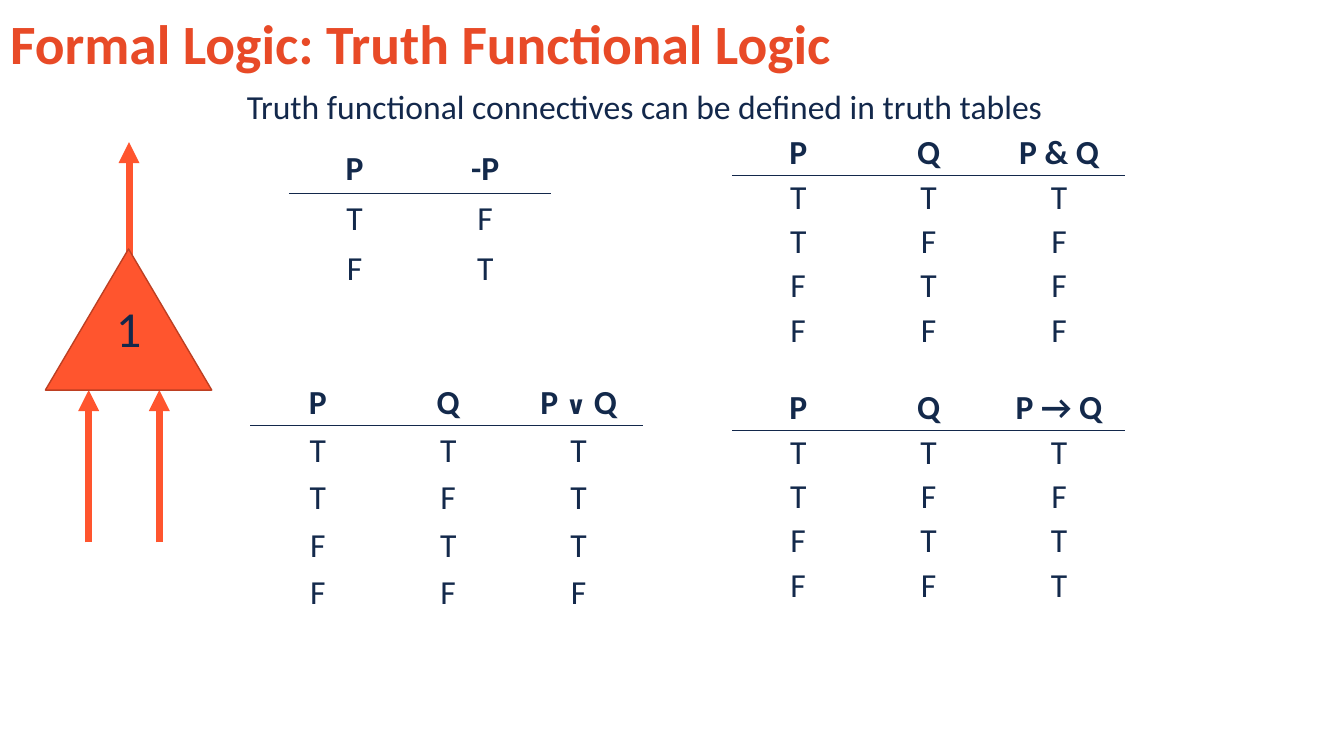
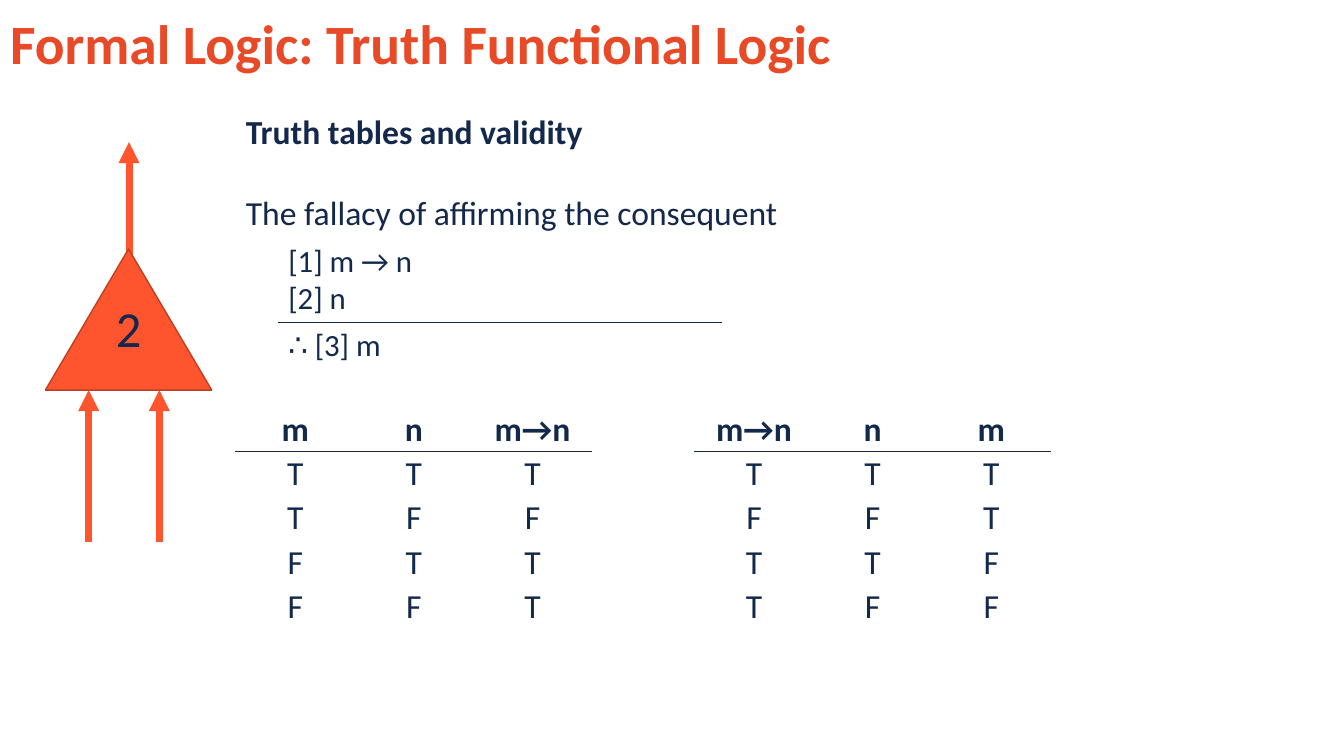
from lxml import etree
from pptx import Presentation
from pptx.dml.color import RGBColor
from pptx.enum.shapes import MSO_CONNECTOR, MSO_SHAPE
from pptx.enum.text import MSO_ANCHOR, MSO_AUTO_SIZE, PP_ALIGN
from pptx.oxml.ns import qn
from pptx.util import Pt

PX = 9144
TITLE_ONLY = 5
STRAIGHT = MSO_CONNECTOR.STRAIGHT
TRIANGLE = MSO_SHAPE.ISOSCELES_TRIANGLE
MIDDLE = MSO_ANCHOR.MIDDLE
NO_AUTOFIT = MSO_AUTO_SIZE.NONE
LEFT, CENTER = PP_ALIGN.LEFT, PP_ALIGN.CENTER

FONT = "Calibri"
COLORS = {
    "title": "E84A27",
    "text": "13284B",
    "cell": "13294B",
    "orange": "FF552E",
    "outline": "BD3F22",
    "white": "FFFFFF",
}
TITLE = "Formal Logic: Truth Functional Logic"
TIGHT = (10, 2, 10, 2)
SNUG = (5, 5, 2, 2)
ROOMY = (10, 5, 10, 5)


def px(*lengths):
    return [length * PX for length in lengths]


def color(name):
    return RGBColor.from_string(COLORS[name])


class Lecture:
    def __init__(self):
        self.deck = Presentation()
        self.deck.slide_width, self.deck.slide_height = px(1333, 750)
        self.slide = None

    def format(self, para, size, shade, bold=False, align=LEFT):
        para.alignment = align
        for span in para.runs:
            span.font.name = FONT
            span.font.size = Pt(size)
            span.font.bold = bold
            span.font.color.rgb = color(shade)

    def page(self, title):
        layout = self.deck.slide_layouts[TITLE_ONLY]
        self.slide = self.deck.slides.add_slide(layout)
        box = self.slide.shapes.title
        box.left, box.top, box.width, box.height = px(0, 20, 1256, 61)
        frame = box.text_frame
        frame.text = title
        frame.vertical_anchor = MIDDLE
        frame.auto_size = NO_AUTOFIT
        para = frame.paragraphs[0]
        para.line_spacing = 0.7
        self.format(para, 39.6, "title", True)

    def text(self, left, top, width, height, lines, gap=0):
        box = self.slide.shapes.add_textbox(*px(left, top, width, height))
        frame = box.text_frame
        frame.word_wrap = True
        frame.text = "\n".join(line for line, bold in lines)
        for index, (line, bold) in enumerate(lines):
            para = frame.paragraphs[index]
            self.format(para, 24, "text", bold)
            if index:
                para.space_before = Pt(gap)

    def arrow(self, x, start, end):
        arrow = self.slide.shapes.add_connector(STRAIGHT, *px(x, start, x, end))
        arrow.line.color.rgb = color("orange")
        arrow.line.width = Pt(5)
        outline = arrow.line._get_or_add_ln()
        etree.SubElement(outline, qn("a:tailEnd"), type="triangle")
        etree.SubElement(arrow._element.spPr, qn("a:effectLst"))

    def triangle(self, label):
        shape = self.slide.shapes.add_shape(TRIANGLE, *px(45, 247, 165, 140))
        shape.shadow.inherit = False
        shape.fill.solid()
        shape.fill.fore_color.rgb = color("orange")
        shape.line.color.rgb = color("outline")
        shape.line.width = Pt(1)
        frame = shape.text_frame
        frame.text = label
        frame.vertical_anchor = MIDDLE
        frame.margin_top, frame.margin_bottom = px(5, 59)
        self.format(frame.paragraphs[0], 36, "text", align=CENTER)

    def gate(self, label):
        for x, start, end in ((88, 538, 387), (158, 538, 387), (128, 292, 141)):
            self.arrow(x, start, end)
        self.triangle(label)

    def borders(self, cell, top, bottom):
        properties = cell._tc.get_or_add_tcPr()
        sides = {"L": "white", "R": "white", "T": top, "B": bottom}
        for side, shade in sides.items():
            line = etree.SubElement(properties, qn(f"a:ln{side}"), w=str(Pt(1)))
            fill = etree.SubElement(line, qn("a:solidFill"))
            etree.SubElement(fill, qn("a:srgbClr"), val=COLORS[shade])

    def table(self, left, top, width, heights, rows, insets=ROOMY,
              size=24, align=CENTER, bold_header=True):
        bounds = px(left, top, width, sum(heights))
        table = self.slide.shapes.add_table(len(rows), len(rows[0]), *bounds).table
        table.first_row = table.horz_banding = False
        for row_index, row in enumerate(rows):
            table.rows[row_index].height = heights[row_index] * PX
            for column_index, content in enumerate(row):
                cell = table.cell(row_index, column_index)
                self.borders(cell, "text" if row_index == 1 else "white",
                             "text" if row_index == 0 else "white")
                cell.fill.background()
                (cell.margin_left, cell.margin_top,
                 cell.margin_right, cell.margin_bottom) = px(*insets)
                cell.text_frame.text = content
                for para in cell.text_frame.paragraphs:
                    bold = bold_header and row_index == 0
                    self.format(para, size, "cell", bold, align)
        return table

    def truth_table(self, left, top, width, header, values, row_height=44, insets=TIGHT):
        rows = [header, *values.split()]
        return self.table(left, top, width, [row_height] * len(rows), rows, insets)

    def shrink_symbol(self, cell, symbol, size):
        para = cell.text_frame.paragraphs[0]
        before, after = para.text.split(symbol)
        para.text = before
        for part in (symbol, after):
            para.add_run().text = part
        self.format(para, 24, "cell", True, CENTER)
        para.runs[1].font.size = Pt(size)


def main():
    lecture = Lecture()

    lecture.page(TITLE)
    lecture.text(235, 80, 1054, 50,
                 [("Truth functional connectives can be defined in truth tables", False)])
    lecture.gate("1")
    lecture.truth_table(727, 130, 388, ["P", "Q", "P & Q"], "TTT TFF FTF FFF")
    disjunction = lecture.truth_table(249, 375, 388, ["P", "Q", "P ∨ Q"],
                                      "TTT TFT FTT FFF", 47, SNUG)
    lecture.shrink_symbol(disjunction.cell(0, 2), "∨", 18)
    lecture.truth_table(287, 142, 259, ["P", "-P"], "TF FT", 50, ROOMY)
    lecture.truth_table(727, 383, 388, ["P", "Q", "P → Q"], "TTT TFF FTT FFT")

    lecture.page(TITLE)
    lecture.text(234, 105, 1054, 131,
                 [("Truth tables and validity", True),
                  ("The fallacy of affirming the consequent", False)], gap=29)
    lecture.gate("2")
    lecture.table(276, 236, 440, [84, 46], [["[1] m → n\n[2] n"], ["∴ [3] m"]],
                  size=22, align=LEFT, bold_header=False)
    lecture.truth_table(234, 404, 353, ["m", "n", "m→n"], "TTT TFF FTT FFT")
    lecture.truth_table(689, 404, 353, ["m→n", "n", "m"], "TTT FFT TTF TFF")

    lecture.deck.save("out.pptx")


if __name__ == "__main__":
    main()
